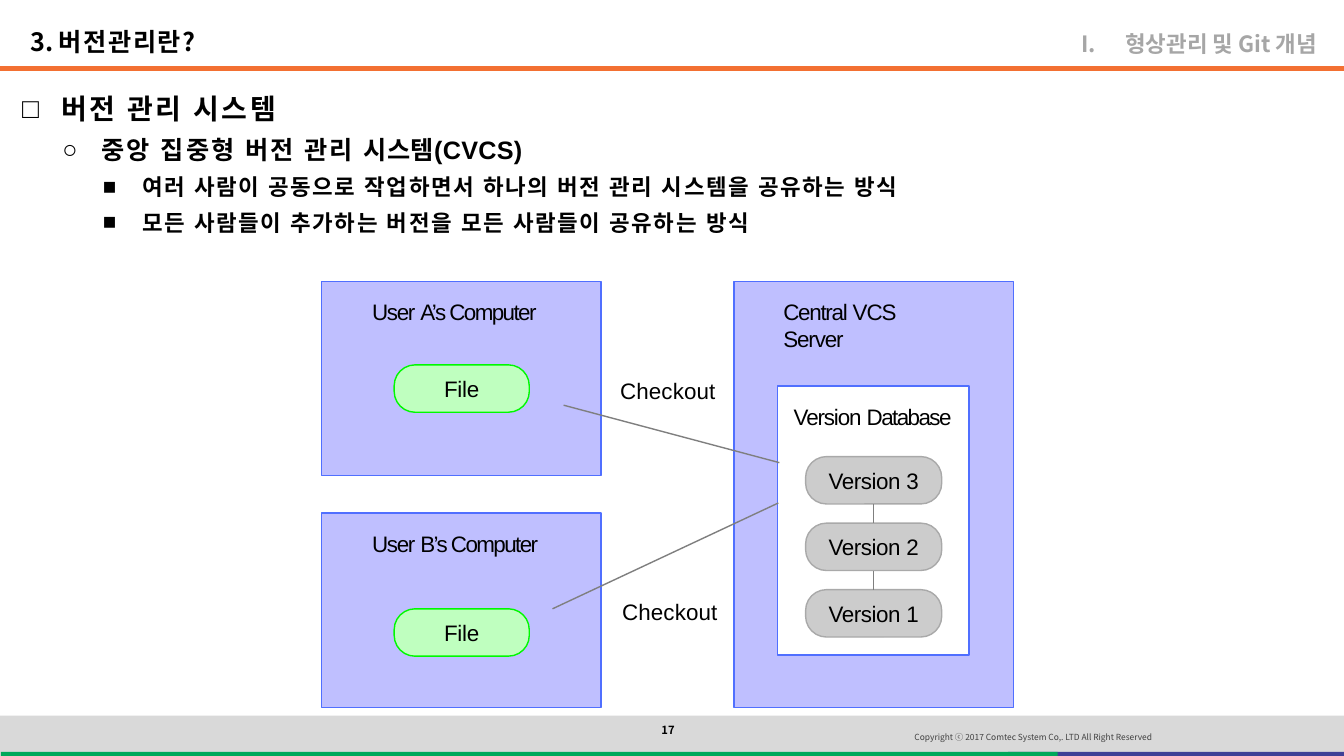
from lxml import etree
from pptx import Presentation
from pptx.dml.color import RGBColor
from pptx.enum.shapes import MSO_CONNECTOR, MSO_SHAPE
from pptx.enum.text import MSO_ANCHOR, PP_ALIGN
from pptx.oxml.ns import qn
from pptx.util import Inches, Pt

RECTANGLE = MSO_SHAPE.RECTANGLE
ROUNDED = MSO_SHAPE.ROUNDED_RECTANGLE
STRAIGHT = MSO_CONNECTOR.STRAIGHT
LEFT, CENTER, RIGHT = PP_ALIGN.LEFT, PP_ALIGN.CENTER, PP_ALIGN.RIGHT
TOP, MIDDLE, BOTTOM = MSO_ANCHOR.TOP, MSO_ANCHOR.MIDDLE, MSO_ANCHOR.BOTTOM
NOTO = "Noto Sans CJK KR"
NOTO_JP = "Noto Sans CJK JP"
ARIAL = "Arial"
COLORS = {
    "black": "000000", "white": "FFFFFF", "orange": "F37032",
    "footer": "D9D9D9", "navy": "3F4096", "green": "00A85A",
    "copyright": "404040", "chapter": "A6A6A6",
    "panel": "BFBFFF", "panel_line": "506FFF",
    "file": "BFFFBF", "file_line": "00F900",
    "version": "CCCCCC", "version_line": "A9A9A9", "link": "7F7F7F",
}


def color(name):
    return RGBColor.from_string(COLORS[name])


def set_east_asian(font_element, name):
    etree.SubElement(font_element, qn("a:ea")).set("typeface", name)


def write(para, spans, size, font=ARIAL, ink="black", bold=False, align=LEFT):
    para.alignment = align
    para.font.size = Pt(size)
    para.font.bold = bold
    para.font.color.rgb = color(ink)
    fonts = {name for _, _, name in spans if name}
    if not fonts:
        para.font.name = font
        set_east_asian(para.font._element, font)
    for text, spacing, name in spans:
        span = para.add_run()
        span.text = text
        if spacing:
            span._r.get_or_add_rPr().set("spc", str(round(spacing * 100)))
        if fonts:
            span.font.name = name or font
            set_east_asian(span.font._element, name or font)


def add_bullet(para, margin, indent, ink, kind, **marks):
    props = para._p.get_or_add_pPr()
    props.set("marL", str(Inches(margin)))
    props.set("indent", str(Inches(indent)))
    tint = etree.SubElement(props, qn("a:buClr"))
    etree.SubElement(tint, qn("a:srgbClr")).set("val", COLORS[ink])
    etree.SubElement(props, qn("a:buFont")).set("typeface", ARIAL)
    bullet = etree.SubElement(props, qn(kind))
    for key, value in marks.items():
        bullet.set(key, value)


def add_text_frame(page, place, insets=(0, 0.01, 0, 0), anchor=TOP):
    box = page.shapes.add_textbox(*map(Inches, place))
    frame = box.text_frame
    frame.word_wrap = True
    frame.vertical_anchor = anchor
    (frame.margin_left, frame.margin_top,
     frame.margin_right, frame.margin_bottom) = map(Inches, insets)
    return frame


def add_label(page, place, *spans, align=LEFT):
    frame = add_text_frame(page, place)
    write(frame.paragraphs[0], [(*span, None) for span in spans], 16, align=align)


def add_block(page, place, fill, line=None, preset=RECTANGLE):
    block = page.shapes.add_shape(preset, *map(Inches, place))
    block.shadow.inherit = False
    block.fill.solid()
    block.fill.fore_color.rgb = color(fill)
    if line:
        block.line.color.rgb = color(line)
        block.line.width = Pt(1)
    else:
        block.line.fill.background()
    return block


def add_pill(page, place, kind, *spans):
    pill = add_block(page, place, kind, f"{kind}_line", ROUNDED)
    pill.adjustments[0] = 0.44
    frame = pill.text_frame
    frame.word_wrap = True
    frame.vertical_anchor = MIDDLE
    frame.margin_left = frame.margin_right = 0
    frame.margin_top = frame.margin_bottom = 0
    write(frame.paragraphs[0], [(*span, None) for span in spans], 16, align=CENTER)
    return pill


def add_line(page, start, end, ink="link", width=1):
    line = page.shapes.add_connector(STRAIGHT, *map(Inches, (*start, *end)))
    line.line.color.rgb = color(ink)
    line.line.width = Pt(width)
    etree.SubElement(line._element.spPr, qn("a:effectLst"))
    return line


def add_frame_parts(page):
    add_line(page, (0, 0.68), (13.33, 0.68), "orange", 3)
    add_block(page, (0, 7.1, 13.33, 0.4), "footer")
    add_block(page, (10, 7.46, 3.33, 0.04), "navy")
    add_block(page, (0.01, 7.46, 10.48, 0.04), "green")
    frame = add_text_frame(page, (8.98, 7.22, 3.58, 0.19), (0.09, 0.04, 0.09, 0.04))
    notice = "Copyright ⓒ 2017 Comtec System Co,. LTD All Right Reserved"
    write(frame.paragraphs[0], [(notice, 0, None)], 6, NOTO, "copyright")
    frame = add_text_frame(page, (6.08, 7.14, 1.19, 0.27), (0, 0.05, 0.1, 0.05))
    frame.paragraphs[0].line_spacing = 0.9
    write(frame.paragraphs[0], [("17", 0, None)], 8, NOTO, bold=True, align=CENTER)


def add_titles(page):
    frame = add_text_frame(page, (7.72, 0.19, 5.34, 0.42), (0.1, 0.05, 0, 0.05), BOTTOM)
    chapter = frame.paragraphs[0]
    add_bullet(chapter, 0.44, -0.44, "chapter", "a:buAutoNum", type="romanUcPeriod")
    write(chapter, [("형상관리 및 Git 개념", 0, None)], 16, NOTO, "chapter", True, RIGHT)
    frame = add_text_frame(page, (0.3, 0.19, 7.36, 0.42), (0, 0.05, 0.1, 0.05), BOTTOM)
    title = [("3. ", 0, NOTO), ("버전관리란?", 1.1, NOTO_JP)]
    write(frame.paragraphs[0], title, 18, bold=True)


def add_outline(page):
    items = [
        (0, "□", 20, 0, [("버전 관리 시스템", 1.6, None)]),
        (1, "○", 18, 6.7, [("중앙 집중형 버전 관리 ", 1.4, None),
                           ("시스템(CVCS)", 0.2, None)]),
        (2, "■", 16, 5.8, [("여러 사람이 공동으로 작업하면서 하나의 버전 관리 "
                            "시스템을 공유하는 방식", 1.2, None)]),
        (2, "■", 16, 6.2, [("모든 사람들이 추가하는 버전을 모든 사람들이 "
                            "공유하는 방식", 1.2, None)]),
    ]
    frame = add_text_frame(page, (0.21, 0.79, 10.93, 1.55), (0, 0.12, 0, 0))
    for index, (level, mark, size, before, spans) in enumerate(items):
        para = frame.add_paragraph() if index else frame.paragraphs[0]
        para.level = level
        para.space_before = Pt(before)
        add_bullet(para, 0.4 * (level + 1), -0.39, "black", "a:buChar", char=mark)
        write(para, spans, size, bold=True)


def add_computer(page, owner, top, file_top):
    add_block(page, (3.19, top, 2.77, 1.93), "panel", "panel_line")
    add_label(page, (3.69, top + 0.16, 1.77, 0.29),
              ("User ", -0.9), (f"{owner}’s Computer", -1.1))
    add_pill(page, (3.91, file_top, 1.34, 0.47), "file", ("File", -0.2))


def add_server(page):
    add_block(page, (7.28, 2.79, 2.77, 4.23), "panel", "panel_line")
    add_label(page, (7.77, 2.95, 1.6, 0.56), ("Central ", -0.9), ("VCS Server", -0.8))
    add_block(page, (7.71, 3.83, 1.9, 2.67), "white", "panel_line")
    add_label(page, (7.83, 3.99, 1.65, 0.29),
              ("Version ", -0.8), ("Database", -1.1), align=CENTER)
    pills = [add_pill(page, (7.99, 4.53 + 0.66 * row, 1.35, 0.47), "version",
                      ("Version ", -0.3), (str(3 - row), 0)) for row in range(3)]
    for upper, lower in zip(pills, pills[1:]):
        link = add_line(page, (8.66, 5), (8.66, 5.19))
        link.begin_connect(upper, 2)
        link.end_connect(lower, 0)


def main():
    deck = Presentation()
    deck.slide_width = Inches(13.33)
    deck.slide_height = Inches(7.5)
    page = deck.slides.add_slide(deck.slide_layouts[6])
    add_frame_parts(page)
    add_titles(page)
    add_outline(page)
    add_computer(page, "A", 2.79, 3.62)
    add_computer(page, "B", 5.09, 6.04)
    add_server(page)
    add_line(page, (5.59, 4.02), (7.73, 4.59))
    add_line(page, (5.48, 6.04), (7.72, 4.99))
    for left, top in ((6.15, 3.73), (6.17, 5.92)):
        add_label(page, (left, top, 0.99, 0.29), ("Checkout", 0.1))
    deck.save("out.pptx")


if __name__ == "__main__":
    main()
